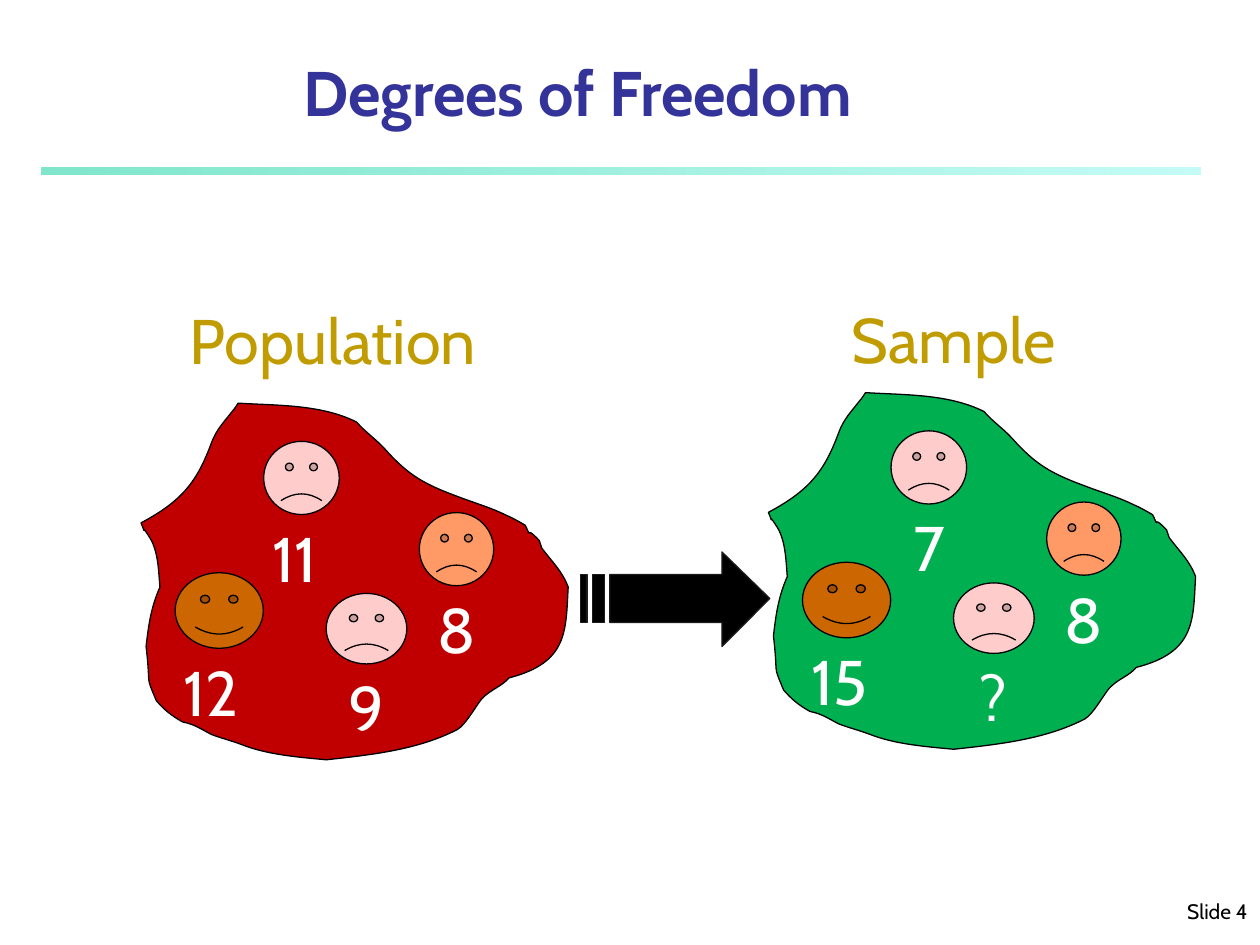
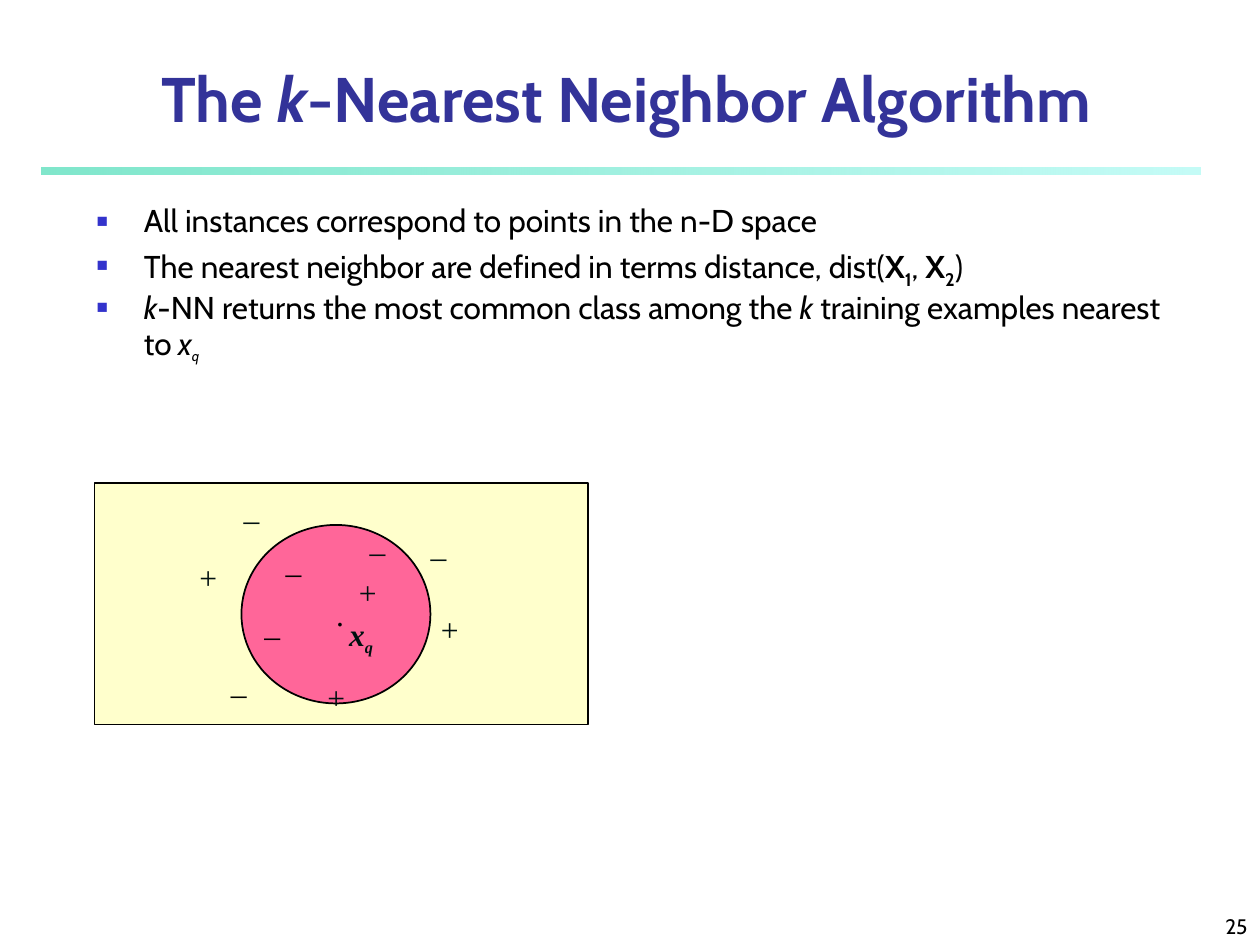
from lxml import etree
from pptx import Presentation
from pptx.dml.color import RGBColor as RGB
from pptx.enum.shapes import MSO_SHAPE as SHAPE
from pptx.enum.text import MSO_ANCHOR as ANCHOR, PP_ALIGN as ALIGN
from pptx.oxml.ns import qn
from pptx.util import Pt

COLORS = {
    "title": "333399", "text": "000000", "bullet": "3333CC",
    "band_start": "00CE98", "band_end": "8FF9EF",
    "label": "C09C00", "value": "FFFFFF", "outline": "000000",
    "population": "C00000", "sample": "00B050", "arrow_line": "1C1C1C",
    "brown": "CC6600", "pink": "FFCCCC", "orange": "FF9966",
    "space": "FFFFCC", "neighborhood": "FF6699", "sign": "001010",
}
SANS, SERIF = "Cabin", "Times New Roman"
SUB = -25000
BAND_STOPS = (("band_start", 50), ("band_end", 52))  # colour, opacity in percent
SAMPLE_SHIFT = (358.5, -6)

# Population outline: start point, then curves (two controls and an end point)
BLOB = [
    (80.6, 298.8),
    (105.1, 285.8), (113, 274.3), (121, 252.7),
    (123.8, 245.5), (127.4, 241.9), (132.5, 235.4),
    (133.9, 234), (136.1, 230.4), (136.1, 230.4),
    (159.1, 231.8), (183.6, 231.1), (203.8, 241.2),
    (208.8, 247), (215.3, 251.3), (220.3, 257),
    (233.3, 271.4), (241.9, 276.5), (261.4, 283.7),
    (270.7, 287.3), (280.8, 290.2), (289.4, 294.5),
    (293, 295.9), (300.2, 300.2), (300.2, 300.2),
    (305.3, 311), (298.1, 298.1), (308.2, 308.9),
    (308.9, 310.3), (308.9, 311.8), (309.6, 313.2),
    (316.1, 321.8), (321.1, 326.2), (324.7, 335.5),
    (323.3, 360.7), (324.7, 378.7), (290.9, 387.4),
    (286.6, 392.4), (280.8, 393.8), (275.8, 398.9),
    (272.9, 401.8), (266.4, 414), (261.4, 416.9),
    (239, 428.4), (213.1, 431.3), (186.5, 434.2),
    (170.6, 432.7), (152.6, 431.3), (138.2, 425.5),
    (132.5, 423.4), (126.7, 421.9), (121, 419.8),
    (115.2, 416.9), (111.6, 414), (104.4, 412.6),
    (97.9, 409), (93.6, 405.4), (89.3, 400.3),
    (82.8, 384.5), (86.4, 394.6), (83.5, 369.4),
    (85, 356.4), (86.4, 347), (91.4, 335.5),
    (90.7, 328.3), (90.7, 315.4), (85.7, 307.4),
    (78.5, 295.9), (85, 309.6), (80.6, 298.8),
]

# Faces: colour, left, top, width, height, mouth
SMILE, FROWN = 0.093, -0.047
FACES = [
    ("brown", 100.1, 327.3, 50.4, 43.2, SMILE),
    ("pink", 150.7, 252.2, 43.2, 41.8, FROWN),
    ("orange", 239.6, 292.9, 42.5, 41.8, FROWN),
    ("pink", 186.4, 339.1, 46.1, 40.3, FROWN),
]

# Training points: colour, sign, left, top
SIGNS = [
    ("text", "_", 156.2, 306), ("text", "_", 144, 342),
    ("text", "_", 124.8, 375.1),
    ("sign", "+", 198, 324), ("sign", "+", 180, 384),
    ("sign", "+", 106.8, 315.4), ("sign", "+", 244.8, 344.9),
    ("sign", "_", 204.2, 294), ("sign", "_", 239, 297.2),
    ("sign", "_", 132.2, 275.8),
]


def rgb(name):
    return RGB.from_string(COLORS[name])


def add_runs(p, runs, size, font, color, bold):
    """Add runs: a string, or a list of strings and (string, format) pairs."""
    for item in [runs] if isinstance(runs, str) else runs:
        text, fmt = (item, {}) if isinstance(item, str) else item
        r = p.add_run()
        r.text = text
        f = r.font
        f.name, f.size = font, Pt(fmt.get("size", size))
        f.bold, f.italic = fmt.get("bold", bold), fmt.get("italic", False)
        f.color.rgb = rgb(color)
        if "base" in fmt:
            r._r.get_or_add_rPr().set("baseline", str(fmt["base"]))


def write(sp, paragraphs, size=18, font=SANS, color="text", bold=False,
          align=ALIGN.LEFT, anchor=ANCHOR.TOP, wrap=True, bullets=False,
          before=(0,), spacing=None):
    tf = sp.text_frame
    tf.word_wrap, tf.vertical_anchor = wrap, anchor
    for i, runs in enumerate(paragraphs):
        p = tf.add_paragraph() if i else tf.paragraphs[0]
        p.alignment, p.space_before = align, Pt(before[i])
        if spacing:
            p.line_spacing = spacing
        if bullets:
            add_bullet(p)
        add_runs(p, runs, size, font, color, bold)


def add_bullet(p):
    pPr = p._p.get_or_add_pPr()
    pPr.set("marL", str(Pt(27)))
    pPr.set("indent", str(-Pt(27)))
    clr = etree.SubElement(pPr, qn("a:buClr"))
    etree.SubElement(clr, qn("a:srgbClr"), val=COLORS["bullet"])
    etree.SubElement(pPr, qn("a:buSzPct"), val="60000")
    etree.SubElement(pPr, qn("a:buFont"), typeface=SERIF)
    etree.SubElement(pPr, qn("a:buChar"), char="■")


def add_text(s, box, paragraphs, **fmt):
    if isinstance(paragraphs, str):
        paragraphs = [paragraphs]
    write(s.shapes.add_textbox(*map(Pt, box)), paragraphs, **fmt)


def paint(sp, fill, line="outline", width=0.75):
    sp.shadow.inherit = False
    sp.fill.solid()
    sp.fill.fore_color.rgb = rgb(fill)
    sp.line.color.rgb = rgb(line)
    sp.line.width = Pt(width)


def add_shape(s, kind, box, fill, width=0.75):
    sp = s.shapes.add_shape(kind, *map(Pt, box))
    paint(sp, fill, width=width)
    return sp


def add_outline(s, contours, fill, line="outline", shift=(0, 0)):
    builder = None
    for contour in contours:
        first, *rest = [(Pt(x), Pt(y)) for x, y in contour]
        if builder is None:
            builder = s.shapes.build_freeform(*first)
        else:
            builder.move_to(*first)
        builder.add_line_segments(rest, close=True)
    sp = builder.convert_to_shape(*map(Pt, shift))
    paint(sp, fill, line)
    return sp


def bend(sp):
    """Join each three line segments of a freeform into one cubic curve."""
    lines = list(sp._element.iter(qn("a:lnTo")))
    for first, second, third in zip(*[iter(lines)] * 3):
        first.tag = qn("a:cubicBezTo")
        for line in (second, third):
            first.append(line[0])
            line.getparent().remove(line)


def add_blob(s, fill, shift):
    sp = add_outline(s, [BLOB], fill, shift=shift)
    geometry = sp._element.spPr.find(qn("a:custGeom"))
    lines = list(geometry.iter(qn("a:lnTo")))
    for i in range(0, len(lines) - 2, 3):
        curve = etree.Element(qn("a:cubicBezTo"))
        lines[i].addprevious(curve)
        for line in lines[i:i + 3]:
            curve.append(line[0])
            line.getparent().remove(line)


def add_striped_arrow(s):
    top, bottom = 328.3, 355.7
    head = [(412.6, 315.4), (412.6, top), (348.5, top), (348.5, bottom),
            (412.6, bottom), (412.6, 369.4), (439.9, 342)]
    stripes = [[(x, top), (x, bottom), (x + w, bottom), (x + w, top)]
               for x, w in ((338.4, 7.2), (331.9, 3.6))]
    add_outline(s, [head, *stripes], "text", "arrow_line")


def add_group(s, label, label_at, fill, values, shift=(0, 0)):
    """Draw a labelled outline with its faces and their values."""
    dx, dy = shift
    add_blob(s, fill, shift)
    for (color, x, y, w, h, mouth), value in zip(FACES, values):
        left, top = x + dx, y + dy
        face = add_shape(s, SHAPE.SMILEY_FACE, (left, top, w, h), color)
        face.adjustments[0] = mouth
        if len(value) > 1:
            value_x, value_w, align = left - 2.2, 54.7, ALIGN.LEFT
        else:
            value_x, value_w, align = left + w / 2 - 23.75, 47.5, ALIGN.CENTER
        add_text(s, (value_x, top + h - 0.7, value_w, 50.4), value,
                 size=36, color="value", align=align)
    add_text(s, (*label_at, 200.2, 50.4), label, size=36, color="label",
             align=ALIGN.CENTER)


def add_band(s):
    band = add_shape(s, SHAPE.RECTANGLE, (23.8, 95.8, 662.4, 3.8), "band_start")
    band.line.fill.background()
    band.fill.gradient()
    band.fill.gradient_angle = 0
    for stop, (name, _) in zip(band.fill.gradient_stops, BAND_STOPS):
        stop.color.rgb = rgb(name)
    stops = band._element.spPr.iter(qn("a:srgbClr"))
    for clr, (_, opacity) in zip(list(stops), BAND_STOPS):
        etree.SubElement(clr, qn("a:alpha"), val=str(opacity * 1000))


def new_slide(prs, title, title_box, title_anchor, number, number_anchor):
    """Start a slide with its band, title and number."""
    s = prs.slides.add_slide(prs.slide_layouts[6])
    add_band(s)
    add_text(s, title_box, [title], size=36, color="title", bold=True,
             align=ALIGN.CENTER, anchor=title_anchor)
    add_text(s, (570.2, 509.8, 149.8, 30.2), number, size=12,
             align=ALIGN.RIGHT, anchor=number_anchor)
    return s


def freedom_slide(prs):
    s = new_slide(prs, "Degrees of Freedom", (25.5, -2.7, 609.1, 79.9),
                  ANCHOR.BOTTOM, "Slide 4", ANCHOR.TOP)
    add_group(s, "Population", (90, 168.5), "population", ("12", "11", "8", "9"))
    add_group(s, "Sample", (445, 168.1), "sample", ("15", "7", "8", "?"),
              SAMPLE_SHIFT)
    add_striped_arrow(s)


def neighbor_slide(prs):
    italic, bold = {"italic": True}, {"bold": True}
    bold_sub = {"bold": True, "base": SUB}
    s = new_slide(prs, ["The ", ("k", italic), "-Nearest Neighbor Algorithm"],
                  (36, 39.6, 643.7, 31.7), ANCHOR.MIDDLE, "25", ANCHOR.BOTTOM)
    add_text(s, (48.2, 114, 624.2, 401.8), [
        "All instances correspond to points in the n-D space",
        ["The nearest neighbor are defined in terms distance, dist(",
         ("X", bold), ("1", bold_sub), ", ", ("X", bold), ("2", bold_sub), ")"],
        [("k", italic), "-NN returns the most common class among the ",
         ("k", italic), " training examples nearest to", (" ", {"size": 16}),
         ("x", italic), ("q", {"size": 14, "italic": True, "base": SUB})],
    ], bullets=True, before=(0, 4.5, 3.5), spacing=0.9)

    # Instance space with the query point and its neighborhood
    add_shape(s, SHAPE.RECTANGLE, (54, 276, 282, 138), "space", 1)
    circle = add_shape(s, SHAPE.OVAL, (138, 300, 108, 102), "neighborhood", 1)
    circle.text_frame.margin_left = Pt(11.7)
    write(circle, ["."], font=SERIF, align=ALIGN.CENTER, anchor=ANCHOR.MIDDLE,
          wrap=False)
    for color, sign, x, y in SIGNS:
        add_text(s, (x, y, 24.5 if sign == "+" else 23.4, 28.8), sign,
                 font=SERIF, color=color, wrap=False)
    add_text(s, (192.4, 348, 28.1, 31),
             [[("x", italic), ("q", {"size": 16, "italic": True, "base": SUB})]],
             font=SERIF, color="sign", bold=True, wrap=False)


def main():
    prs = Presentation()
    prs.slide_width, prs.slide_height = Pt(720), Pt(540)
    freedom_slide(prs)
    neighbor_slide(prs)
    prs.save("out.pptx")


if __name__ == "__main__":
    main()
